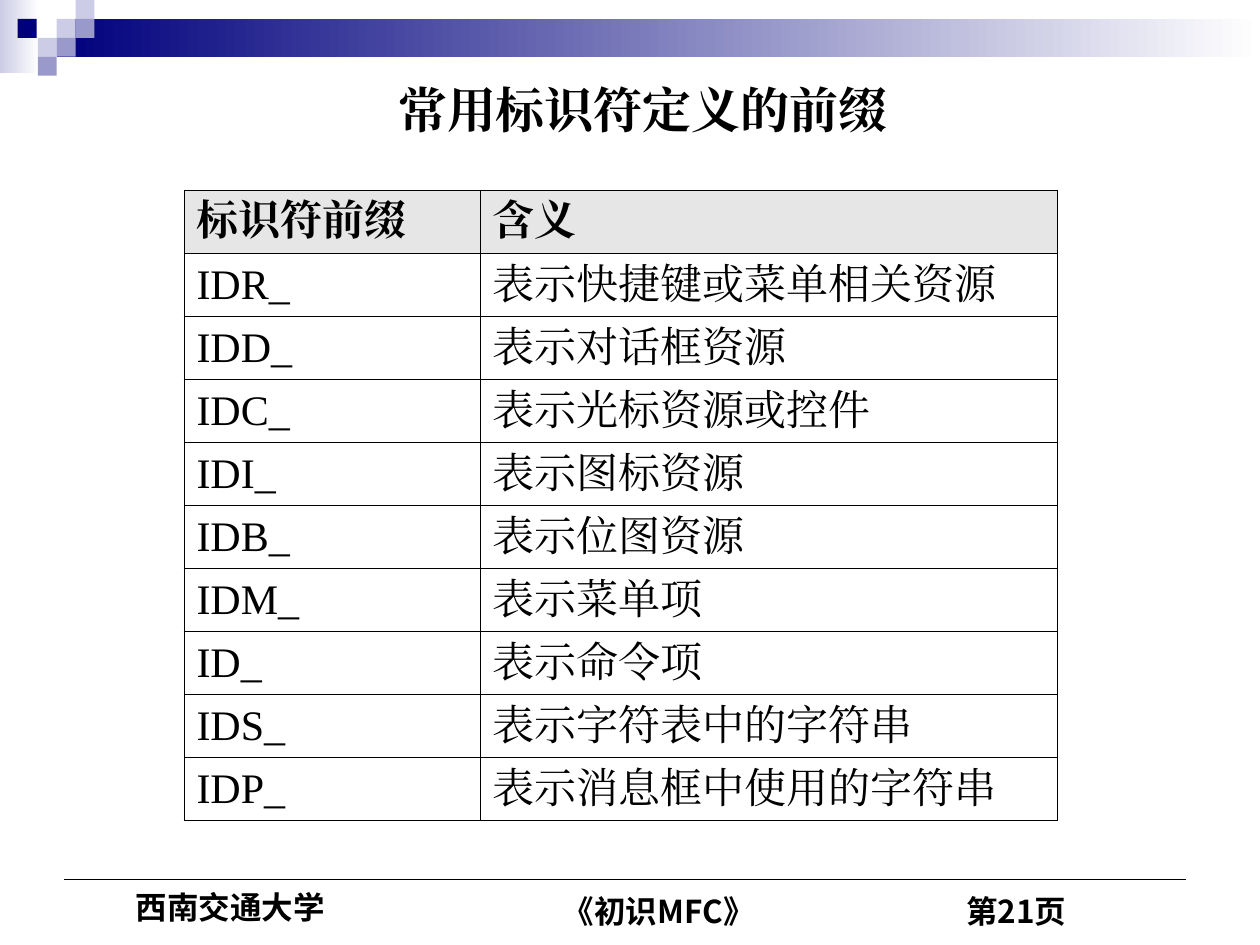
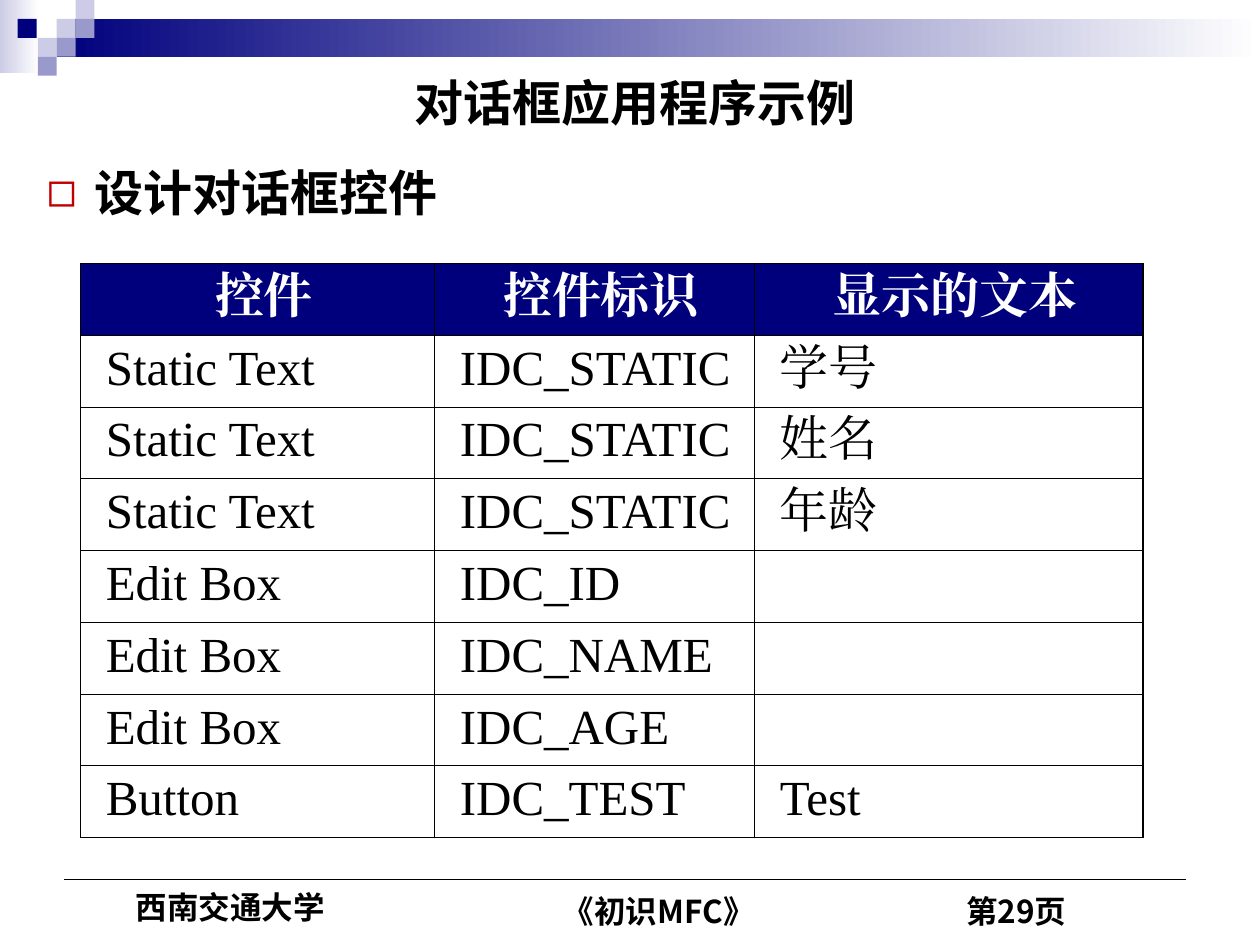
import pptx
import pptx.dml.color
import pptx.enum.shapes
import pptx.enum.text
import pptx.oxml.ns
import pptx.util
from lxml import etree

RGB = pptx.dml.color.RGBColor
Inches = pptx.util.Inches
Pt = pptx.util.Pt
Align = pptx.enum.text.PP_ALIGN
Anchor = pptx.enum.text.MSO_ANCHOR
qn = pptx.oxml.ns.qn

BLACK = RGB(0, 0, 0)
WHITE = RGB(255, 255, 255)
NAVY = RGB(0, 0, 0x7D)
LILAC = RGB(0x99, 0x99, 0xCC)
PALE = RGB(0xCC, 0xCC, 0xE6)
GREY = RGB(0xE6, 0xE6, 0xE6)
RED = RGB(0xC0, 0, 0)

SERIF = "Times New Roman"
SANS = "Noto Sans CJK SC"
FOOT = "Noto Sans CJK JP"

# Top band: bars fade from a colour to white
BARS = [(0, 0, 0.31, 0.58, PALE), (0.45, 0.15, 9.55, 0.3, NAVY)]
TILE = 0.15
TILES = [(0.45, 0.15, PALE), (0.6, 0, PALE), (0.6, 0.15, LILAC),
         (0.3, 0.3, PALE), (0.14, 0.15, NAVY), (0.45, 0.3, LILAC),
         (0.3, 0.45, LILAC)]

FOOTERS = [("西南交通大学", (0.98, 7, 2.36, 0.5)),
           ("《初识MFC》", (4.37, 7.03, 3.47, 0.5)),
           ("第{}页", (7.57, 7.03, 2.03, 0.46))]

PREFIXES = [
    ("标识符前缀", "含义"),
    ("IDR_", "表示快捷键或菜单相关资源"),
    ("IDD_", "表示对话框资源"),
    ("IDC_", "表示光标资源或控件"),
    ("IDI_", "表示图标资源"),
    ("IDB_", "表示位图资源"),
    ("IDM_", "表示菜单项"),
    ("ID_", "表示命令项"),
    ("IDS_", "表示字符表中的字符串"),
    ("IDP_", "表示消息框中使用的字符串"),
]
CONTROLS = [
    ("控件", "控件标识", "显示的文本"),
    ("Static Text", "IDC_STATIC", "学号"),
    ("Static Text", "IDC_STATIC", "姓名"),
    ("Static Text", "IDC_STATIC", "年龄"),
    ("Edit Box", "IDC_ID", ""),
    ("Edit Box", "IDC_NAME", ""),
    ("Edit Box", "IDC_AGE", ""),
    ("Button", "IDC_TEST", "Test"),
]

SLIDES = [
    {"page": 21, "title": "常用标识符定义的前缀", "font": SERIF,
     "box": (3.06, 0.58, 4.19, 0.57), "align": Align.LEFT,
     "table": {"rows": PREFIXES, "at": (1.46, 1.51), "cols": (2.35, 4.58),
               "height": 0.5, "size": 24, "fill": GREY, "ink": BLACK,
               "align": Align.LEFT, "anchor": Anchor.MIDDLE,
               "inset": 0.1, "edge": 0.45, "rule": 0.34}},
    {"page": 29, "title": "对话框应用程序示例", "font": SANS,
     "box": (2.64, 0.52, 4.8, 0.57), "align": Align.CENTER,
     "point": "设计对话框控件",
     "table": {"rows": CONTROLS, "at": (0.64, 2.09),
               "cols": (2.81, 2.54, 3.08),
               "height": 0.57, "size": 28, "fill": NAVY, "ink": WHITE,
               "align": Align.CENTER, "anchor": Anchor.TOP,
               "inset": 0.2, "edge": 1.08, "rule": 0.45}},
]


def put(obj, **values):
    for name, value in values.items():
        setattr(obj, name, value)


def place(shape, box):
    put(shape, **dict(zip(("left", "top", "width", "height"),
                          map(Inches, box))))


def write(para, text, size, name, bold=True, ink=BLACK):
    """Add one run, using the same font for Latin and Chinese letters."""
    run = para.add_run()
    run.text = text
    put(run.font, size=Pt(size), name=name, bold=bold)
    run.font.color.rgb = ink
    latin = run.font._element.find(qn("a:latin"))
    east = etree.Element(qn("a:ea"), typeface=name)
    latin.addnext(east)


def block(slide, box, ink):
    shape = slide.shapes.add_shape(
        pptx.enum.shapes.MSO_SHAPE.RECTANGLE, *map(Inches, box))
    shape.shadow.inherit = False
    shape.line.fill.background()
    shape.fill.solid()
    shape.fill.fore_color.rgb = ink
    return shape


def frame(slide, page):
    """Draw the top band and the footer."""
    for *box, ink in BARS:
        fill = block(slide, box, ink).fill
        fill.gradient()
        fill.gradient_angle = 0
        for stop, tone, spot in zip(fill.gradient_stops, (ink, WHITE), (0, 1)):
            stop.color.rgb = tone
            stop.position = spot
    for left, top, ink in TILES:
        block(slide, (left, top, TILE, TILE), ink)
    for text, box in FOOTERS:
        area = slide.shapes.add_textbox(*map(Inches, box)).text_frame
        area.word_wrap = True
        write(area.paragraphs[0], text.format(page), 18, FOOT)
    line = slide.shapes.add_connector(
        pptx.enum.shapes.MSO_CONNECTOR.STRAIGHT,
        Inches(0.51), Inches(6.98), Inches(9.41), Inches(6.98))
    line.line.color.rgb = BLACK
    line.line.width = Pt(1)
    etree.SubElement(line._element.spPr, qn("a:effectLst"))


def head(slide, data):
    title = slide.shapes.title
    place(title, data["box"])
    area = title.text_frame
    put(area, word_wrap=True, vertical_anchor=Anchor.MIDDLE,
        auto_size=pptx.enum.text.MSO_AUTO_SIZE.NONE)
    para = area.paragraphs[0]
    para.alignment = data["align"]
    write(para, data["title"], 28, data["font"])


def point(slide, text):
    body = slide.placeholders[1]
    place(body, (0.27, 1.24, 9, 0.79))
    area = body.text_frame
    area.auto_size = pptx.enum.text.MSO_AUTO_SIZE.NONE
    para = area.paragraphs[0]
    props = para._p.get_or_add_pPr()
    props.set("marL", str(Inches(0.38)))
    props.set("indent", str(-Inches(0.38)))
    tint = etree.SubElement(props, qn("a:buClr"))
    etree.SubElement(tint, qn("a:srgbClr"), val=str(RED))
    etree.SubElement(props, qn("a:buChar"), char="◻")
    para.space_before = Pt(0)
    write(para, text, 28, SANS)


def border(cell, widths):
    """Set the left, right, top and bottom lines, widths in points."""
    props = cell._tc.get_or_add_tcPr()
    for spot, (side, width) in enumerate(zip("LRTB", widths)):
        line = etree.Element(qn("a:ln" + side), w=str(Pt(width)))
        fill = etree.SubElement(line, qn("a:solidFill"))
        etree.SubElement(fill, qn("a:srgbClr"), val=str(BLACK))
        props.insert(spot, line)


def grid(slide, data):
    rows, cols = data["rows"], data["cols"]
    size = (sum(cols), data["height"] * len(rows))
    table = slide.shapes.add_table(
        len(rows), len(cols), *map(Inches, data["at"] + size)).table
    put(table, first_row=False, horz_banding=False)
    for col, width in zip(table.columns, cols):
        col.width = Inches(width)
    edge, rule = data["edge"], data["rule"]
    for r, row in enumerate(rows):
        table.rows[r].height = Inches(data["height"])
        for c, text in enumerate(row):
            cell = table.cell(r, c)
            put(cell, margin_left=Inches(data["inset"]),
                vertical_anchor=data["anchor"])
            if r == 0:
                cell.fill.solid()
                cell.fill.fore_color.rgb = data["fill"]
            else:
                cell.fill.background()
            outer = (c == 0, c == len(cols) - 1, r == 0, r == len(rows) - 1)
            border(cell, [edge if out else rule for out in outer])
            if text:
                para = cell.text_frame.paragraphs[0]
                para.alignment = Align.LEFT if r else data["align"]
                write(para, text, data["size"], SERIF, r == 0,
                      BLACK if r else data["ink"])


def main():
    deck = pptx.Presentation()
    put(deck, slide_width=Inches(10), slide_height=Inches(7.5))
    for data in SLIDES:
        layout = deck.slide_layouts[1 if "point" in data else 5]
        slide = deck.slides.add_slide(layout)
        frame(slide, data["page"])
        head(slide, data)
        if "point" in data:
            point(slide, data["point"])
        grid(slide, data["table"])
    deck.save("out.pptx")


if __name__ == "__main__":
    main()
